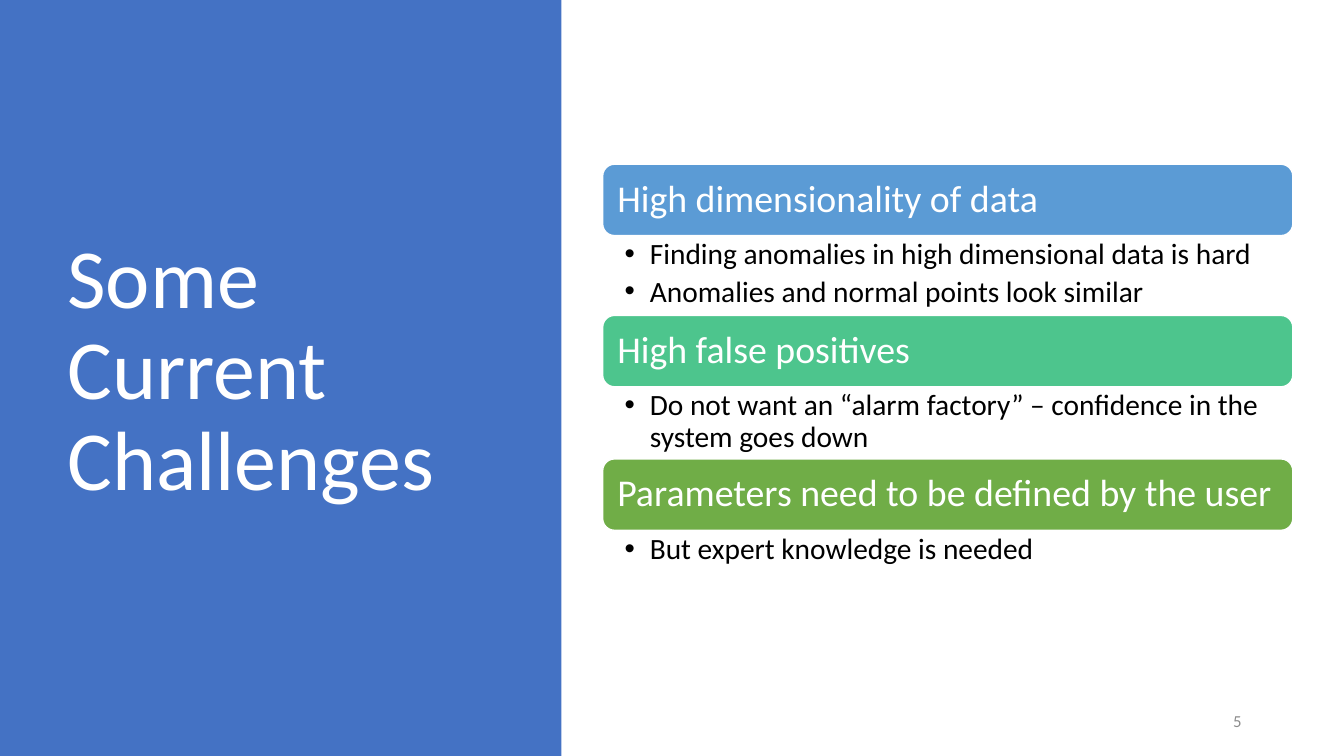
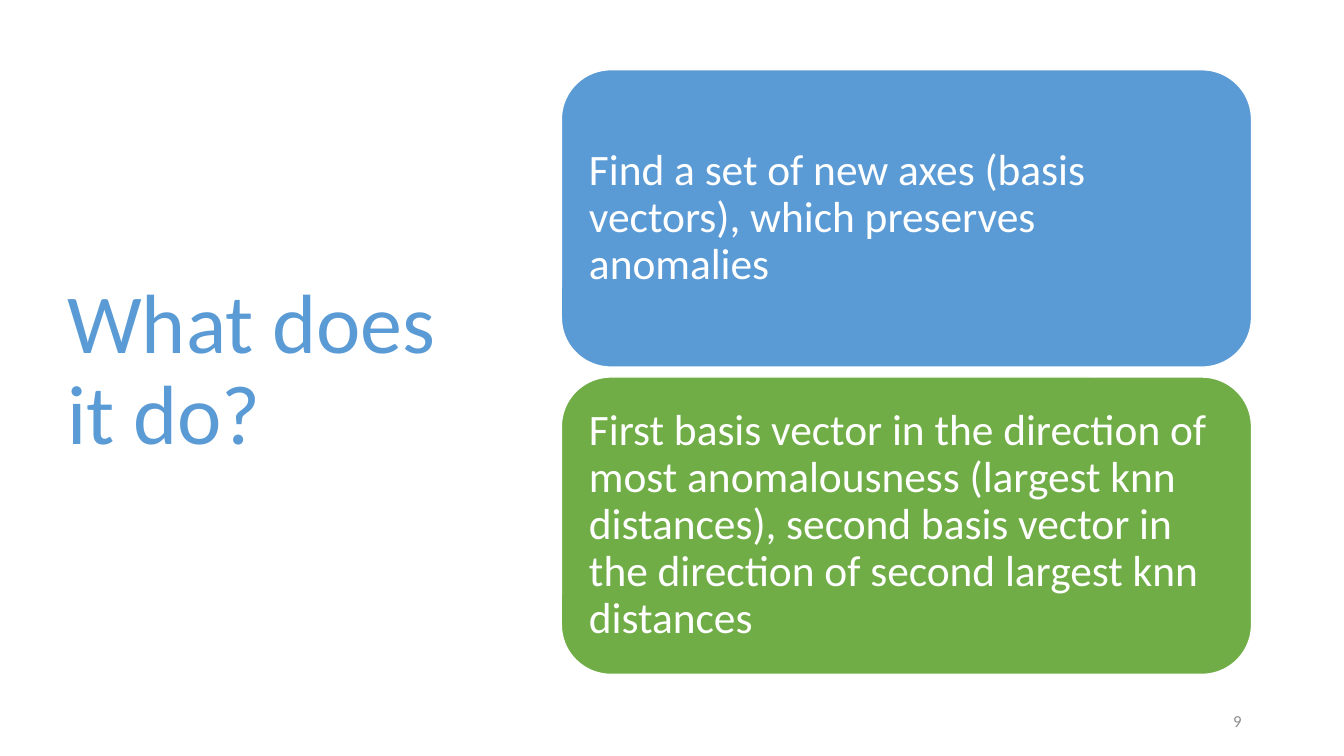
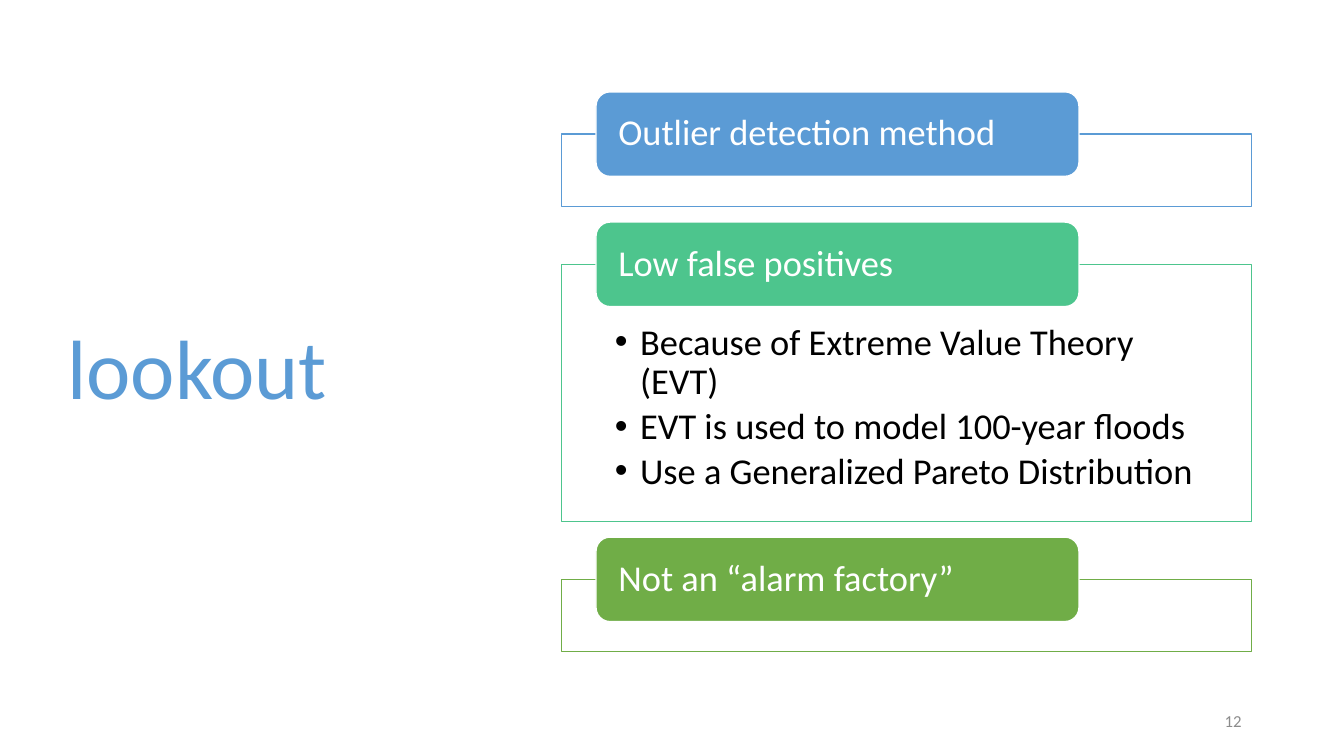
from dataclasses import dataclass

from lxml.etree import SubElement
from pptx import Presentation
from pptx.dml.color import RGBColor
from pptx.enum.shapes import MSO_SHAPE
from pptx.enum.text import MSO_ANCHOR, PP_ALIGN
from pptx.oxml.ns import qn
from pptx.util import Pt

FONT = "Calibri"
COLORS = {
    "white": "FFFFFF",
    "black": "000000",
    "panel": "4472C4",
    "blue": "5B9BD5",
    "teal": "4DC58D",
    "green": "70AD47",
    "gray": "8C8C8C",
}
SLIDE_W, SLIDE_H = 960, 540
PANEL_W = 401
CONTENT_W = 493
BULLET_INDENT = 18
BULLET_GAP = 4


@dataclass
class Section:
    heading: str
    color: str
    height: float
    bullets: tuple[str, ...] = ()


def rgb(name: str) -> RGBColor:
    return RGBColor.from_string(COLORS[name])


def write_text(sp, *lines: str, size: float, color: str, insets=(7.2, 3.6, 7.2, 3.6),
               anchor=MSO_ANCHOR.MIDDLE, align=PP_ALIGN.LEFT,
               line_spacing: float = 0.9, bullets: bool = False) -> None:
    tf = sp.text_frame
    tf.word_wrap = True
    tf.vertical_anchor = anchor
    tf.margin_left, tf.margin_top, tf.margin_right, tf.margin_bottom = map(Pt, insets)
    for i, line in enumerate(lines):
        p = tf.add_paragraph() if i else tf.paragraphs[0]
        p.alignment = align
        p.line_spacing = line_spacing
        if bullets:
            p.space_after = Pt(BULLET_GAP)
            pPr = p._p.get_or_add_pPr()
            pPr.set("marL", str(Pt(BULLET_INDENT)))
            pPr.set("indent", str(-Pt(BULLET_INDENT)))
            SubElement(pPr, qn("a:buFont")).set("typeface", "Arial")
            SubElement(pPr, qn("a:buChar")).set("char", "•")
        r = p.add_run()
        r.text = line
        r.font.name = FONT
        r.font.size = Pt(size)
        r.font.color.rgb = rgb(color)


def add_box(slide, kind, left: float, top: float, width: float, height: float,
            fill: str, line: str | None = None, opacity: int = 100):
    sp = slide.shapes.add_shape(kind, Pt(left), Pt(top), Pt(width), Pt(height))
    sp.shadow.inherit = False
    sp.fill.solid()
    sp.fill.fore_color.rgb = rgb(fill)
    if opacity < 100:
        color = sp.fill._xPr.find(f".//{qn('a:srgbClr')}")
        SubElement(color, qn("a:alpha")).set("val", str(opacity * 1000))
    if line:
        sp.line.color.rgb = rgb(line)
        sp.line.width = Pt(1)
    else:
        sp.line.fill.background()
    return sp


def add_text(slide, left: float, top: float, width: float, height: float,
             *lines: str, **text_format) -> None:
    sp = slide.shapes.add_textbox(Pt(left), Pt(top), Pt(width), Pt(height))
    write_text(sp, *lines, **text_format)


def add_slide(prs, title: str, number: int, panel: bool = False):
    """Start a slide with its title, page number and optional side panel."""
    slide = prs.slides.add_slide(prs.slide_layouts[6])
    if panel:
        add_box(slide, MSO_SHAPE.RECTANGLE, 0, 0, PANEL_W, SLIDE_H, "panel")
    add_text(slide, 41, 49, 299.5, 433.5, title,
             size=60, color="white" if panel else "blue")
    add_text(slide, 678, 500.5, 216, 28.75, str(number), size=12, color="gray",
             align=PP_ALIGN.RIGHT, line_spacing=1)
    return slide


def add_headed_lists(slide, sections: list[Section]) -> None:
    """Stack full-width heading bars, each followed by its bullets."""
    left, top, bar_h = 430.5, 117.3, 51
    for section in sections:
        bar = add_box(slide, MSO_SHAPE.ROUNDED_RECTANGLE, left, top, CONTENT_W, bar_h,
                      section.color, "white")
        write_text(bar, section.heading, size=27, color="white", insets=(8,) * 4)
        add_text(slide, left, top + bar_h, CONTENT_W, section.height, *section.bullets,
                 size=21, color="black", insets=(15.7, 2.7, 15.1, 2.7),
                 anchor=MSO_ANCHOR.TOP, bullets=True)
        top += bar_h + section.height


def add_cards(slide, sections: list[Section]) -> None:
    top, gap = 49.8, 7.1
    for section in sections:
        card = add_box(slide, MSO_SHAPE.ROUNDED_RECTANGLE, PANEL_W, top, CONTENT_W,
                       section.height, section.color, "white")
        write_text(card, section.heading, size=31, color="white", insets=(9.4,) * 4)
        top += section.height + gap


def add_tabbed_frames(slide, sections: list[Section]) -> None:
    """Stack outlined frames, each with a heading tab over its top edge."""
    top, gap, tab_h = 95.8, 41.4, 60.4
    for section in sections:
        frame = add_box(slide, MSO_SHAPE.RECTANGLE, PANEL_W, top, CONTENT_W,
                        section.height, "white", section.color, opacity=90)
        if section.bullets:
            write_text(frame, *section.bullets, size=26, color="black",
                       insets=(38.3, 42.5, 38.3, 14.2), anchor=MSO_ANCHOR.TOP,
                       bullets=True)
        tab = add_box(slide, MSO_SHAPE.ROUNDED_RECTANGLE, 425.7, top - tab_h / 2, 345,
                      tab_h, section.color, "white")
        write_text(tab, section.heading, size=26, color="white", insets=(13, 0, 13, 0))
        top += section.height + gap


def main() -> None:
    prs = Presentation()
    prs.slide_width, prs.slide_height = Pt(SLIDE_W), Pt(SLIDE_H)

    add_headed_lists(add_slide(prs, "Some Current Challenges", 5, panel=True), [
        Section("High dimensionality of data", "blue", 57,
                ("Finding anomalies in high dimensional data is hard",
                 "Anomalies and normal points look similar")),
        Section("High false positives", "teal", 51.5,
                ("Do not want an “alarm factory” – confidence in the system goes down",)),
        Section("Parameters need to be defined by the user", "green", 35.5,
                ("But expert knowledge is needed",)),
    ])
    add_cards(add_slide(prs, "What does it do?", 9), [
        Section("Find a set of new axes (basis vectors), which preserves anomalies",
                "blue", 212.4),
        Section("First basis vector in the direction of most anomalousness (largest knn "
                "distances), second basis vector in the direction of second largest knn "
                "distances", "green", 212.4),
    ])
    add_tabbed_frames(add_slide(prs, "lookout", 12), [
        Section("Outlier detection method", "blue", 51.6),
        Section("Low false positives", "teal", 183.6,
                ("Because of Extreme Value Theory (EVT)",
                 "EVT is used to model 100-year floods",
                 "Use a Generalized Pareto Distribution")),
        Section("Not an “alarm factory”", "green", 51.6),
    ])
    prs.save("out.pptx")


if __name__ == "__main__":
    main()
